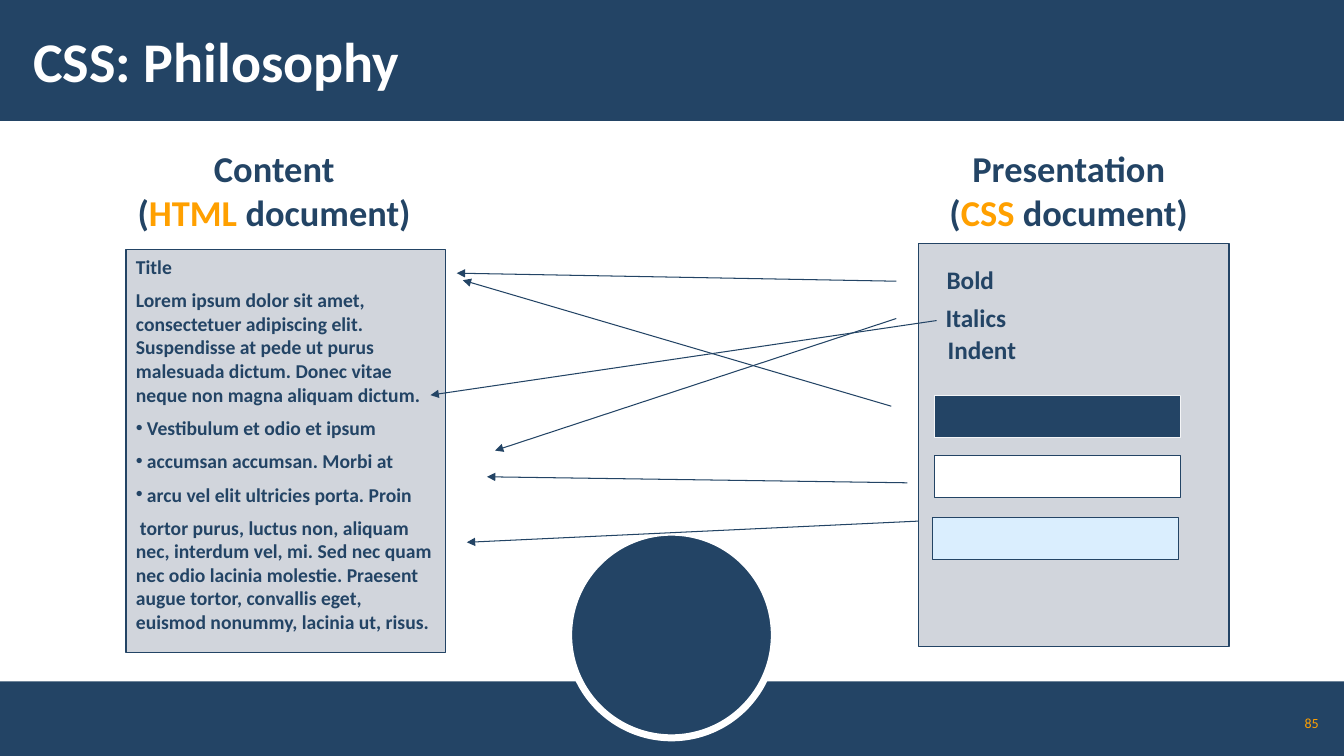
"""Build the "CSS: Philosophy" slide."""
from dataclasses import dataclass

from lxml.etree import SubElement
from pptx import Presentation
from pptx.dml.color import RGBColor
from pptx.enum.shapes import MSO_CONNECTOR, MSO_SHAPE
from pptx.enum.text import MSO_ANCHOR, MSO_AUTO_SIZE, PP_ALIGN
from pptx.oxml.ns import qn
from pptx.util import Inches, Pt

FONT = "Calibri"
COLORS = {"navy": "234465", "white": "FFFFFF", "orange": "FFA000",
          "slate": "67748E", "pale": "F4F5F7", "sky": "DAEEFE"}


@dataclass(frozen=True)
class Box:
    """A filled shape with an optional outline."""
    left: float
    top: float
    width: float
    height: float
    fill: str
    line: str | None = None
    weight: float = 0.75
    alpha: int | None = None
    kind: MSO_SHAPE = MSO_SHAPE.RECTANGLE


@dataclass(frozen=True)
class Label:
    """One bold property name in the presentation panel."""
    text: str
    left: float
    top: float
    width: float


@dataclass(frozen=True)
class Heading:
    """A two-line heading with a highlighted language."""
    text: str
    language: str
    left: float
    width: float


@dataclass(frozen=True)
class Arrow:
    """A link from a style to the content it formats."""
    x1: float
    y1: float
    x2: float
    y2: float


@dataclass(frozen=True)
class Line:
    """A paragraph of the content panel."""
    text: str
    bullet: bool = False
    indent: float = 0


FRAME = [
    Box(0, 0, 13.33, 1.2, "navy"),
    Box(0, 6.76, 13.33, 0.74, "navy"),
    Box(5.64, 5.28, 2.04, 2.04, "navy", "white", 5, kind=MSO_SHAPE.OVAL),
]
CONTENT = Box(1.25, 2.48, 3.17, 3.99, "slate", "navy", alpha=30)
STYLES = [
    Box(9.11, 2.42, 3.08, 3.99, "slate", "navy", alpha=30),
    Box(9.27, 3.92, 2.44, 0.42, "navy", "pale"),
    Box(9.27, 4.52, 2.44, 0.42, "white", "navy"),
    Box(9.25, 5.13, 2.44, 0.42, "sky", "navy"),
]
LINES = [
    Line("Title"),
    Line("Lorem ipsum dolor sit amet, consectetuer adipiscing elit. Suspendisse at pede "
         "ut purus malesuada dictum. Donec vitae neque non magna aliquam dictum."),
    Line("Vestibulum et odio et ipsum", bullet=True),
    Line("accumsan accumsan. Morbi at", bullet=True),
    Line("arcu vel elit ultricies porta. Proin", bullet=True),
    Line("tortor purus, luctus non, aliquam nec, interdum vel, mi. Sed nec quam nec odio "
         "lacinia molestie. Praesent augue tortor, convallis eget, euismod nonummy, "
         "lacinia ut, risus.", indent=0.04),
]
LABELS = [Label("Bold", 9.29, 2.57, 0.68), Label("Italics", 9.28, 2.95, 0.81),
          Label("Indent", 9.3, 3.27, 0.89)]
HEADINGS = [Heading("Content", "HTML", 1.25, 2.94),
            Heading("Presentation", "CSS", 9.29, 2.62)]
ARROWS = [
    Arrow(8.89, 2.79, 4.53, 2.71), Arrow(8.89, 3.16, 4.91, 4.47),
    Arrow(9.29, 3.18, 4.27, 3.92), Arrow(9, 4.79, 4.83, 4.73),
    Arrow(9.11, 5.17, 4.63, 5.38), Arrow(8.84, 4.03, 4.59, 2.78),
]


def rgb(name: str) -> RGBColor:
    """Look up a named colour."""
    return RGBColor.from_string(COLORS[name])


def add_run(p, text: str, size: float, color: str = "navy", bold: bool = True) -> None:
    """Append a formatted run."""
    r = p.add_run()
    r.text = text
    r.font.name, r.font.size, r.font.bold = FONT, Pt(size), bold
    r.font.color.rgb = rgb(color)


def add_box(s, box: Box):
    """Draw a filled shape."""
    sp = s.shapes.add_shape(box.kind, Inches(box.left), Inches(box.top),
                            Inches(box.width), Inches(box.height))
    sp.shadow.inherit = False
    sp.fill.solid()
    sp.fill.fore_color.rgb = rgb(box.fill)
    if box.alpha is not None:
        color = sp.element.spPr.find(qn("a:solidFill"))[0]
        SubElement(color, qn("a:alpha"), val=str(box.alpha * 1000))
    if box.line:
        sp.line.color.rgb = rgb(box.line)
        sp.line.width = Pt(box.weight)
    else:
        sp.line.fill.background()
    return sp


def add_text(s, left: float, top: float, width: float, height: float):
    """Add an unwrapped text box and return its frame."""
    tf = s.shapes.add_textbox(Inches(left), Inches(top), Inches(width), Inches(height)).text_frame
    tf.word_wrap = False
    return tf


def set_margins(tf, side: float) -> None:
    """Set insets and centre the text vertically."""
    tf.margin_left = tf.margin_right = Inches(side)
    tf.margin_top = tf.margin_bottom = Inches(0.04)
    tf.vertical_anchor = MSO_ANCHOR.MIDDLE


def add_content(s) -> None:
    """Draw the content panel with its paragraphs."""
    tf = add_box(s, CONTENT).text_frame
    tf.word_wrap = True
    tf.vertical_anchor = MSO_ANCHOR.TOP
    for i, line in enumerate(LINES):
        p = tf.add_paragraph() if i else tf.paragraphs[0]
        p.alignment = PP_ALIGN.LEFT
        p.space_before = Pt(7 if i else 0)
        pPr = p._p.get_or_add_pPr()
        hang = 0.11 if line.bullet else 0
        pPr.set("marL", str(Inches(hang)))
        pPr.set("indent", str(Inches(line.indent - hang)))
        if line.bullet:
            SubElement(pPr, qn("a:buFont"), typeface="Arial")
            SubElement(pPr, qn("a:buChar"), char="•")
        add_run(p, line.text, 14)


def add_heading(s, heading: Heading) -> None:
    """Draw a panel heading."""
    tf = add_text(s, heading.left, 1.4, heading.width, 0.98)
    first, second = tf.paragraphs[0], tf.add_paragraph()
    first.alignment = second.alignment = PP_ALIGN.CENTER
    add_run(first, heading.text, 26)
    add_run(second, "(", 26)
    add_run(second, heading.language + " ", 26, "orange")
    add_run(second, "document)", 26)


def add_arrow(s, arrow: Arrow) -> None:
    """Draw a connector with an arrowhead at its end."""
    c = s.shapes.add_connector(MSO_CONNECTOR.STRAIGHT, Inches(arrow.x1), Inches(arrow.y1),
                               Inches(arrow.x2), Inches(arrow.y2))
    c.line.color.rgb = rgb("navy")
    c.line.width = Pt(0.75)
    SubElement(c.line._get_or_add_ln(), qn("a:tailEnd"), type="triangle")
    SubElement(c.element.spPr, qn("a:effectLst"))


def add_title(s) -> None:
    """Place the title in front of the top band."""
    title = s.shapes.title
    title.left, title.top = Inches(0.21), Inches(0.11)
    title.width, title.height = Inches(10.39), Inches(0.97)
    title.element.getparent().append(title.element)
    tf = title.text_frame
    tf.auto_size = MSO_AUTO_SIZE.NONE
    set_margins(tf, 0.12)
    tf.paragraphs[0].alignment = PP_ALIGN.LEFT
    add_run(tf.paragraphs[0], "CSS: Philosophy", 40, "white")


def main() -> None:
    """Build and save the slide."""
    prs = Presentation()
    prs.slide_width, prs.slide_height = Inches(13.33), Inches(7.5)
    s = prs.slides.add_slide(prs.slide_layouts[5])
    for box in FRAME:
        add_box(s, box)
    add_content(s)
    add_title(s)
    tf = add_text(s, 12.65, 7, 0.47, 0.34)
    tf.word_wrap = True
    set_margins(tf, 0.04)
    tf.paragraphs[0].alignment = PP_ALIGN.RIGHT
    add_run(tf.paragraphs[0], "85", 10, "orange", False)
    for box in STYLES:
        add_box(s, box)
    for label in LABELS:
        tf = add_text(s, label.left, label.top, label.width, 0.4)
        add_run(tf.paragraphs[0], label.text, 18)
    for heading in HEADINGS:
        add_heading(s, heading)
    for arrow in ARROWS:
        add_arrow(s, arrow)
    prs.save("out.pptx")


if __name__ == "__main__":
    main()
